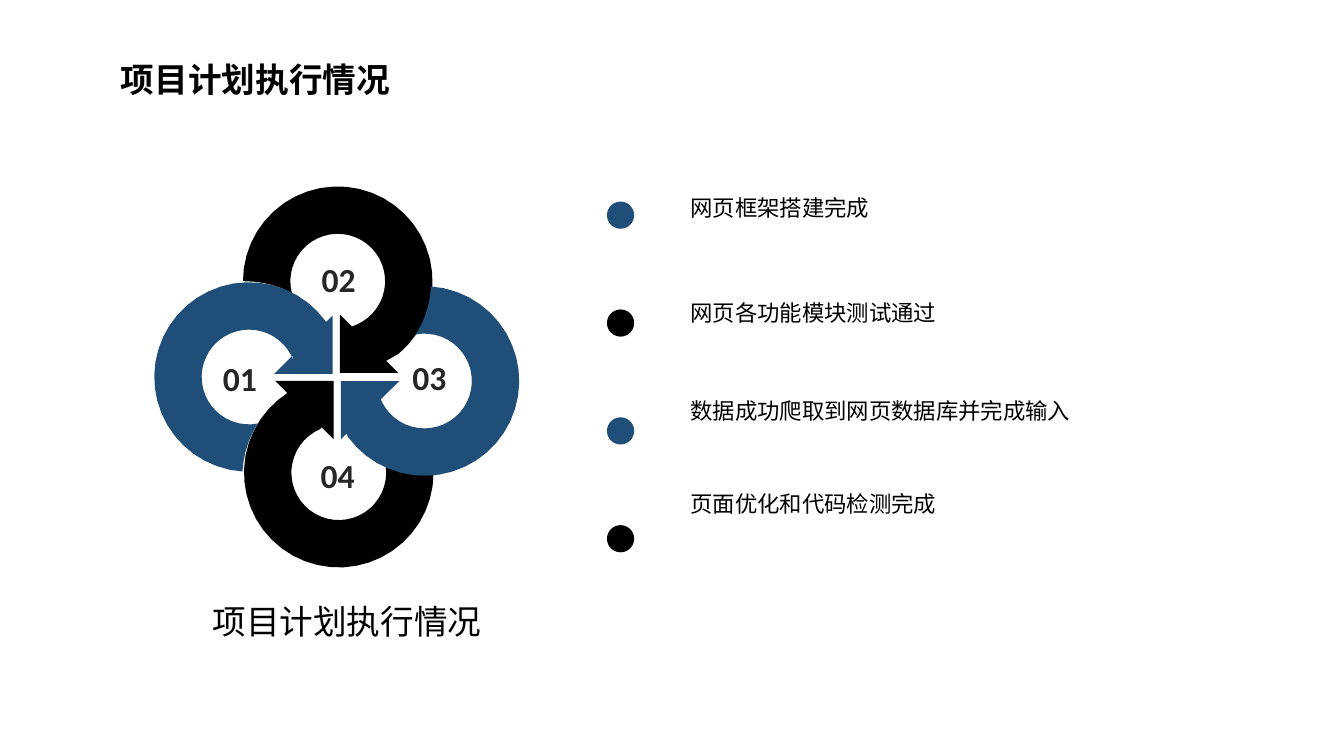
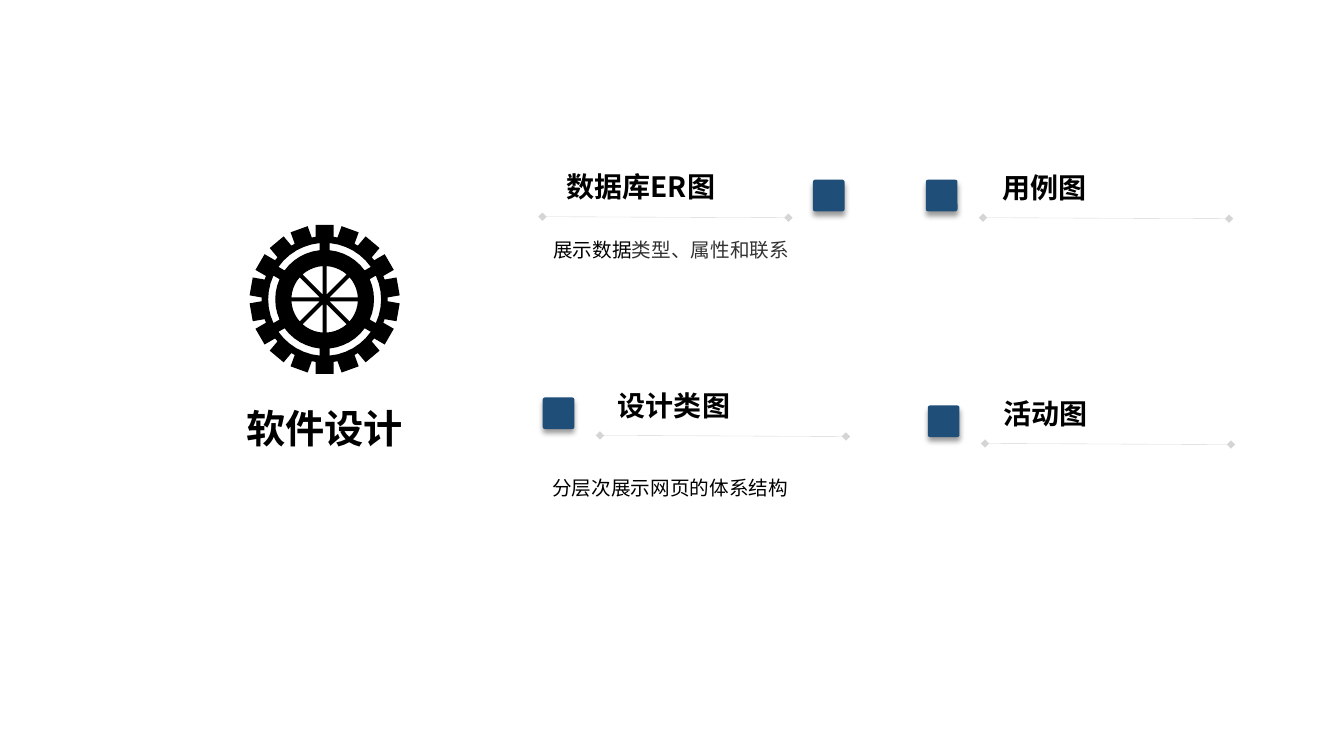
import math
from dataclasses import dataclass

import pptx
import pptx.dml.color
import pptx.enum.shapes
import pptx.enum.text
import pptx.oxml
import pptx.oxml.ns
import pptx.util

Inches = pptx.util.Inches
Pt = pptx.util.Pt
Align = pptx.enum.text.PP_ALIGN
Shape = pptx.enum.shapes.MSO_SHAPE


@dataclass(frozen=True)
class Theme:
    black: str = "000000"
    blue: str = "1F4E79"
    number: str = "262626"
    soft: str = "333333"
    rule: str = "808080"
    cjk: str = "Noto Sans CJK SC"
    latin: str = "Calibri"
    section: int = 28
    title: int = 24
    heading: int = 20
    item: int = 16
    note: int = 14


T = Theme()


def rgb(code):
    return pptx.dml.color.RGBColor.from_string(code)


def add_xml(parent, tag, inner="", **attrs):
    values = " ".join(f'{key}="{value}"' for key, value in attrs.items())
    ns = pptx.oxml.ns.nsdecls("a")
    parent.append(pptx.oxml.parse_xml(f"<a:{tag} {ns} {values}>{inner}</a:{tag}>"))


def style_paragraph(p, size, bold=False, color=T.black, font=T.cjk,
                    align=Align.LEFT, spacing=1.0, before=0):
    p.alignment = align
    p.line_spacing = spacing
    p.space_before = Pt(before)
    p.font.size = Pt(size)
    p.font.bold = bold
    p.font.name = font
    p.font.color.rgb = rgb(color)
    add_xml(p._p.pPr.find(pptx.oxml.ns.qn("a:defRPr")), "ea", typeface=font)


def place(sp, x, y, w, h):
    sp.left, sp.top, sp.width, sp.height = map(Inches, (x, y, w, h))


def prepare_frame(sp, wrap=True, inset=0.05):
    tf = sp.text_frame
    tf.word_wrap = wrap
    tf.auto_size = pptx.enum.text.MSO_AUTO_SIZE.NONE
    tf.vertical_anchor = pptx.enum.text.MSO_ANCHOR.TOP
    tf.margin_top = tf.margin_bottom = Inches(inset)
    return tf


def set_title(slide, text, box, size, align=Align.LEFT):
    sp = slide.shapes.title
    place(sp, *box)
    tf = prepare_frame(sp)
    tf.text = text
    style_paragraph(tf.paragraphs[0], size, bold=True, align=align)


def add_text(slide, text, box, size, wrap=True, inset=0.05, **style):
    sp = slide.shapes.add_textbox(*map(Inches, box))
    p = prepare_frame(sp, wrap, inset).paragraphs[0]
    p.text = text
    style_paragraph(p, size, **style)
    return p


def fill_list(sp, box, items):
    place(sp, *box)
    tf = prepare_frame(sp, inset=0)
    for i, (text, before) in enumerate(items):
        p = tf.paragraphs[0] if i == 0 else tf.add_paragraph()
        p.text = text
        style_paragraph(p, T.item, spacing=1.5, before=before)
        pPr = p._p.pPr
        pPr.set("marL", "0")
        pPr.set("indent", "0")
        bullet = pptx.oxml.parse_xml(f'<a:buNone {pptx.oxml.ns.nsdecls("a")}/>')
        pPr.find(pptx.oxml.ns.qn("a:defRPr")).addprevious(bullet)


def paint(sp, color):
    sp.shadow.inherit = False
    sp.fill.solid()
    sp.fill.fore_color.rgb = rgb(color)
    sp.line.fill.background()


def add_dot(slide, x, y, color):
    sp = slide.shapes.add_shape(Shape.OVAL, *map(Inches, (x, y, 0.27, 0.27)))
    paint(sp, color)


def add_square(slide, x, y):
    sp = slide.shapes.add_shape(
        Shape.ROUNDED_RECTANGLE, *map(Inches, (x, y, 0.3, 0.3)))
    sp.adjustments[0] = 0.05
    paint(sp, T.blue)
    sp.line.color.rgb = rgb(T.blue)
    sp.line.width = Pt(1)
    effects = sp._element.spPr.find(pptx.oxml.ns.qn("a:effectLst"))
    add_xml(effects, "outerShdw",
            '<a:srgbClr val="000000"><a:alpha val="40000"/></a:srgbClr>',
            blurRad=Pt(4), dist=Pt(3), dir=5400000, rotWithShape=0)


def add_rule(slide, x, y):
    line = slide.shapes.add_connector(
        pptx.enum.shapes.MSO_CONNECTOR.STRAIGHT,
        *map(Inches, (x, y, x + 2.44, y + 0.01)))
    line.line.width = Pt(0.25)
    line.line.color.rgb = rgb(T.rule)
    spPr = line._element.spPr
    ln = spPr.find(pptx.oxml.ns.qn("a:ln"))
    add_xml(next(ln.iter(pptx.oxml.ns.qn("a:srgbClr"))), "alpha", val=33000)
    for end in ("headEnd", "tailEnd"):
        add_xml(ln, end, type="diamond")
    add_xml(spPr, "effectLst")


def unit(angle):
    return complex(math.cos(math.radians(angle)), math.sin(math.radians(angle)))


def arc(radius, start, end):
    steps = max(1, round(abs(end - start) / 8))
    return [radius * unit(start + (end - start) * i / steps)
            for i in range(steps + 1)]


def bezier(a, b, c, d, steps=5):
    return [a * (1 - t) ** 3 + 3 * b * t * (1 - t) ** 2
            + 3 * c * t * t * (1 - t) + d * t ** 3
            for t in (i / steps for i in range(steps + 1))]


def add_outline(shapes, contours, color):
    contours = [[(Inches(z.real), Inches(z.imag)) for z in c] for c in contours]
    builder = shapes.build_freeform(*contours[0][0])
    for i, points in enumerate(contours):
        if i:
            builder.move_to(*points[0])
        builder.add_line_segments(points[1:], close=True)
    paint(builder.convert_to_shape(), color)


def add_petal(shapes, center, corner, turn, tilt, barbs, color):
    outer, inner = barbs
    side = 0.58
    head = [complex(outer - side, outer), complex(-side, 0), 0j,
            complex(0, side), complex(-inner, side - inner)]
    tail = bezier(0.47 - 0.11j, 0.6 - 0.04j, 0.76 + 0j, 0.94 + 0j)

    def on_ring(points):
        return [center + z * unit(turn + tilt) for z in points]

    outline = on_ring(arc(0.94, 0, 230))
    outline += [corner + z * unit(turn) for z in head]
    outline += on_ring(arc(0.47, 247, -15) + tail)
    add_outline(shapes, [outline], color)


def gear_slot(inner, outer, start, end, gap):
    def edge(radius):
        inset = math.degrees(math.asin(gap / radius))
        return start + inset, end - inset

    low, high = edge(outer)
    first, last = edge(inner)
    return arc(outer, low, high) + arc(inner, last, first)


def add_gear(slide, center):
    teeth, half = 18, 0.09
    rim = []
    for i in range(teeth):
        rim += [z * unit(i * 360 / teeth - 90) for z in (
            complex(0.62, -half), complex(0.74, -half),
            complex(0.74, half), complex(0.62, half))]
    slots = [gear_slot(0.49, 0.56, a, a + 60, 0.05) for a in range(30, 390, 60)]
    hub = 0.02 / math.sin(math.radians(22.5))
    wedges = [gear_slot(hub, 0.33, a, a + 45, 0.02) for a in range(0, 360, 45)]
    contours = [[center + z for z in c] for c in [rim] + slots + wedges]
    add_outline(slide.shapes, contours, T.black)


def add_topic(slide, heading, heading_at, square_at, rule_at):
    add_square(slide, *square_at)
    add_rule(slide, *rule_at)
    add_text(slide, heading, (*heading_at, 2.45, 0.6), T.heading,
             bold=True, spacing=1.5)


def build_progress(prs):
    slide = prs.slides.add_slide(prs.slide_layouts[1])
    name = "项目计划执行情况"
    set_title(slide, name, (1.1, 0.53, 3.53, 0.91), T.title)
    petals = slide.shapes.add_group_shape().shapes
    black = (0, (0.12, 0.12), T.black)
    blue = (4, (0.06, 0.18), T.blue)
    for center, corner, turn, look in (
            (3.36 + 4.69j, 3.31 + 3.78j, 0, black),
            (3.35 + 2.79j, 3.37 + 3.7j, 180, black),
            (4.21 + 3.78j, 3.38 + 3.78j, -90, blue),
            (2.47 + 3.74j, 3.3 + 3.71j, 90, blue)):
        add_petal(petals, center, corner, turn, *look)
    for text, x, y in (("01", 2.11, 3.5), ("02", 3.09, 2.52),
                       ("03", 3.99, 3.49), ("04", 3.08, 4.46)):
        add_text(slide, text, (x, y, 0.54, 0.5), T.title, wrap=False, bold=True,
                 color=T.number, font=T.latin, align=Align.CENTER)
    for i in range(4):
        add_dot(slide, 6.02, 2 + 1.07 * i, (T.blue, T.black)[i % 2])
    add_text(slide, name, (2.01, 5.91, 2.93, 0.9), T.title)
    fill_list(slide.placeholders[1], (6.75, 1.79, 5.27, 3.91), (
        ("网页框架搭建完成", 0),
        ("网页各功能模块测试通过", 46.5),
        ("数据成功爬取到网页数据库并完成输入", 41.5),
        ("页面优化和代码检测完成", 37)))


def build_design(prs):
    slide = prs.slides.add_slide(prs.slide_layouts[5])
    set_title(slide, "软件设计", (1.79, 3.96, 2.86, 0.57), T.section, Align.CENTER)
    add_gear(slide, 3.22 + 2.97j)
    for topic in (
            ("数据库ER图", (5.52, 1.47), (8.07, 1.79), (5.38, 2.15)),
            ("用例图", (9.84, 1.48), (9.19, 1.79), (9.75, 2.16)),
            ("设计类图", (6.03, 3.64), (5.39, 3.95), (5.95, 4.32)),
            ("活动图", (9.85, 3.72), (9.21, 4.03), (9.77, 4.4))):
        add_topic(slide, *topic)
    note = {"size": T.note, "inset": 0, "spacing": 1.5}
    p = add_text(slide, "展示数据", (5.39, 2.24, 2.87, 1.45), **note)
    r = p.add_run()
    r.text = "类型、属性和联系"
    r.font.color.rgb = rgb(T.soft)
    add_text(slide, "分层次展示网页的体系结构", (5.38, 4.6, 2.87, 1.45), **note)


def main():
    prs = pptx.Presentation()
    prs.slide_width, prs.slide_height = Inches(13.33), Inches(7.5)
    build_progress(prs)
    build_design(prs)
    prs.save("out.pptx")


if __name__ == "__main__":
    main()
